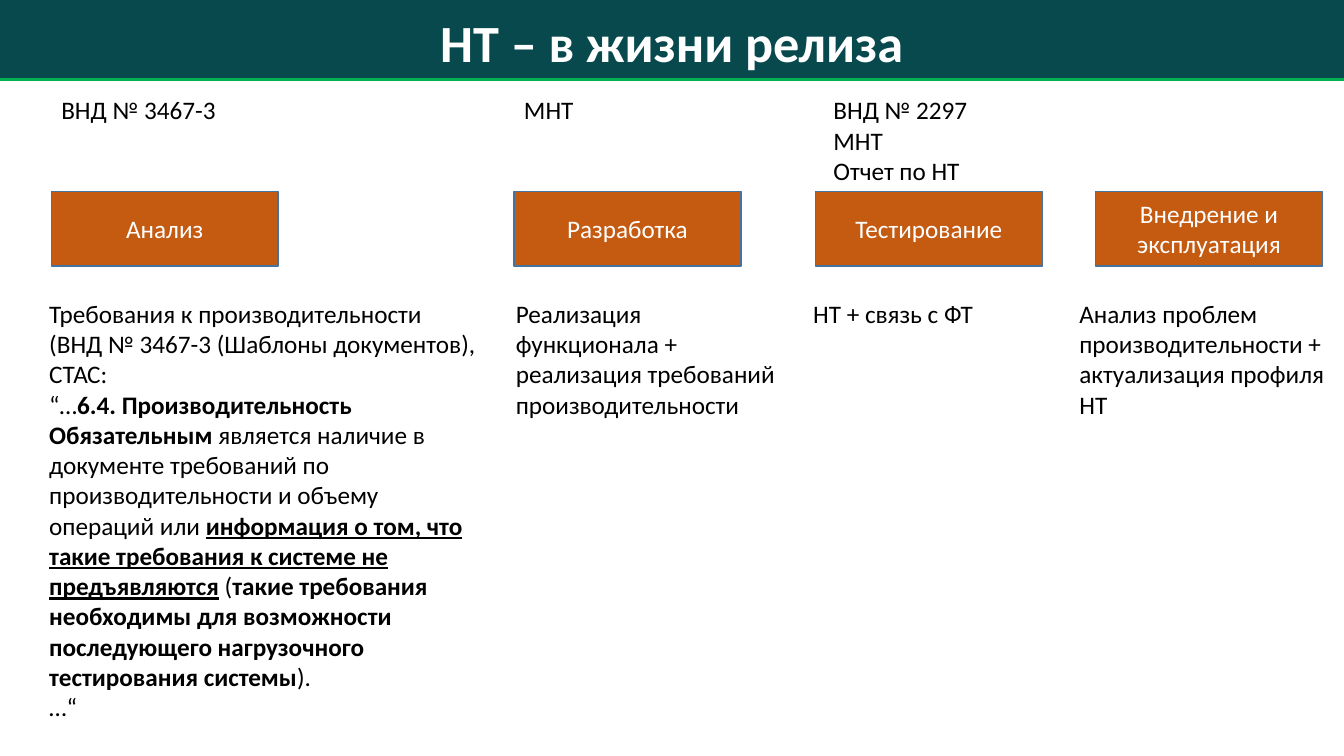
from dataclasses import dataclass

from lxml import etree
from pptx import Presentation
from pptx import util as u
from pptx.dml.color import RGBColor
from pptx.enum import shapes, text
from pptx.oxml.ns import qn

Pt = u.Pt


@dataclass(frozen=True)
class Theme:
    """Hold the colours, font and type sizes of the slide."""
    band: str = "08494D"
    rule: str = "00B050"
    stage: str = "C55A11"
    edge: str = "43739E"
    light: str = "FFFFFF"
    dark: str = "000000"
    font: str = "Calibri"
    title: float = 37.3
    body: float = 18


T = Theme()
BOLD = {"bold": True}
KEY = {"bold": True, "underline": True}
WIDTH, HEIGHT = 960, 540
STAGE_W, STAGE_H = 162, 53.3
NOTE_Y, STAGE_Y, DETAIL_Y = 64.1, 136.8, 209.5
LINE_H, PAD_H = 21.8, 7.2

REQUIREMENTS = [
    [("Требования к производительности (ВНД № 3467-3 (Шаблоны документов), СТАС:", {})],
    [("“…", {}), ("6.4. Производительность", BOLD)],
    [("Обязательным ", BOLD),
     ("является наличие в документе требований по производительности и объему операций или ", {}),
     ("информация о том, что такие требования к системе не предъявляются", KEY),
     (" (", {}),
     ("такие требования необходимы для возможности последующего нагрузочного тестирования системы", BOLD),
     (").", {})],
    [("…“", {})],
]


def plain(*lines):
    """Turn each line into a paragraph of one unstyled run."""
    return [[(line, {})] for line in lines]


STAGES = [
    {"name": "Анализ", "x": 36.7, "note": (36.7, plain("ВНД № 3467-3")),
     "detail": (28.1, 321.8, 14, REQUIREMENTS)},
    {"name": "Разработка", "x": 367.2, "note": (367.2, plain("МНТ")),
     "detail": (361.4, 206.6, 4, plain(
         "Реализация функционала + реализация требований производительности"))},
    {"name": "Тестирование", "x": 582.5,
     "note": (588.2, plain("ВНД № 2297", "МНТ", "Отчет по НТ")),
     "detail": (573.8, 190.8, 1, plain("НТ + связь с ФТ"))},
    {"name": "Внедрение и эксплуатация", "x": 782.6, "note": None,
     "detail": (763.9, 190.8, 4, plain(
         "Анализ проблем производительности + актуализация профиля НТ"))},
]


def write(sp, paragraphs, size=T.body, color=T.dark, align=text.PP_ALIGN.LEFT, **style):
    """Fill a shape with wrapped paragraphs of styled runs."""
    tf = sp.text_frame
    tf.word_wrap = True
    for i, runs in enumerate(paragraphs):
        p = tf.paragraphs[0] if i == 0 else tf.add_paragraph()
        p.alignment = align
        for words, extra in runs:
            r = p.add_run()
            r.text = words
            r.font.color.rgb = RGBColor.from_string(color)
            values = {"name": T.font, "size": Pt(size), **style, **extra}
            for key, value in values.items():
                setattr(r.font, key, value)
    return tf


def text_box(s, box, paragraphs, **style):
    """Place a text box that grows with its text."""
    sp = s.shapes.add_textbox(*map(Pt, box))
    write(sp, paragraphs, **style).auto_size = text.MSO_AUTO_SIZE.SHAPE_TO_FIT_TEXT


def rectangle(parent, box, fill, edge=None):
    """Place a flat rectangle with an optional outline."""
    sp = parent.shapes.add_shape(shapes.MSO_SHAPE.RECTANGLE, *map(Pt, box))
    sp.shadow.inherit = False
    sp.fill.solid()
    sp.fill.fore_color.rgb = RGBColor.from_string(fill)
    if edge:
        sp.line.color.rgb = RGBColor.from_string(edge)
        sp.line.width = Pt(1)
    else:
        sp.line.fill.background()
    return sp


def header(s, box, title):
    """Draw the title band with its bottom rule and centred title."""
    x, y, w, h = box
    band = s.shapes.add_group_shape()
    rectangle(band, box, T.band)
    rule = band.shapes.add_connector(
        shapes.MSO_CONNECTOR.STRAIGHT, *map(Pt, (x, y + h, x + w, y + h)))
    rule.line.color.rgb = RGBColor.from_string(T.rule)
    rule.line.width = Pt(2)
    etree.SubElement(rule.element.spPr, qn("a:effectLst"))
    text_box(s, (x, y + 3.6, w, h - 4.3), plain(title), size=T.title,
             color=T.light, align=text.PP_ALIGN.CENTER, bold=True)


def stage_box(s, box, name):
    """Draw one release stage as a labelled rectangle."""
    sp = rectangle(s, box, T.stage, T.edge)
    tf = write(sp, plain(name), color=T.light, align=text.PP_ALIGN.CENTER)
    tf.vertical_anchor = text.MSO_ANCHOR.MIDDLE


def stage_column(s, stage):
    """Place a stage with its documents above and its details below."""
    stage_box(s, (stage["x"], STAGE_Y, STAGE_W, STAGE_H), stage["name"])
    if stage["note"]:
        x, lines = stage["note"]
        text_box(s, (x, NOTE_Y, STAGE_W, len(lines) * LINE_H + PAD_H), lines)
    x, w, rows, paragraphs = stage["detail"]
    text_box(s, (x, DETAIL_Y, w, rows * LINE_H + PAD_H), paragraphs)


def main():
    """Build and save the slide."""
    prs = Presentation()
    prs.slide_width, prs.slide_height = Pt(WIDTH), Pt(HEIGHT)
    s = prs.slides.add_slide(prs.slide_layouts[6])
    header(s, (0, 0, WIDTH, 56.9), "НТ – в жизни релиза")
    for stage in STAGES:
        stage_column(s, stage)
    prs.save("out.pptx")


if __name__ == "__main__":
    main()
